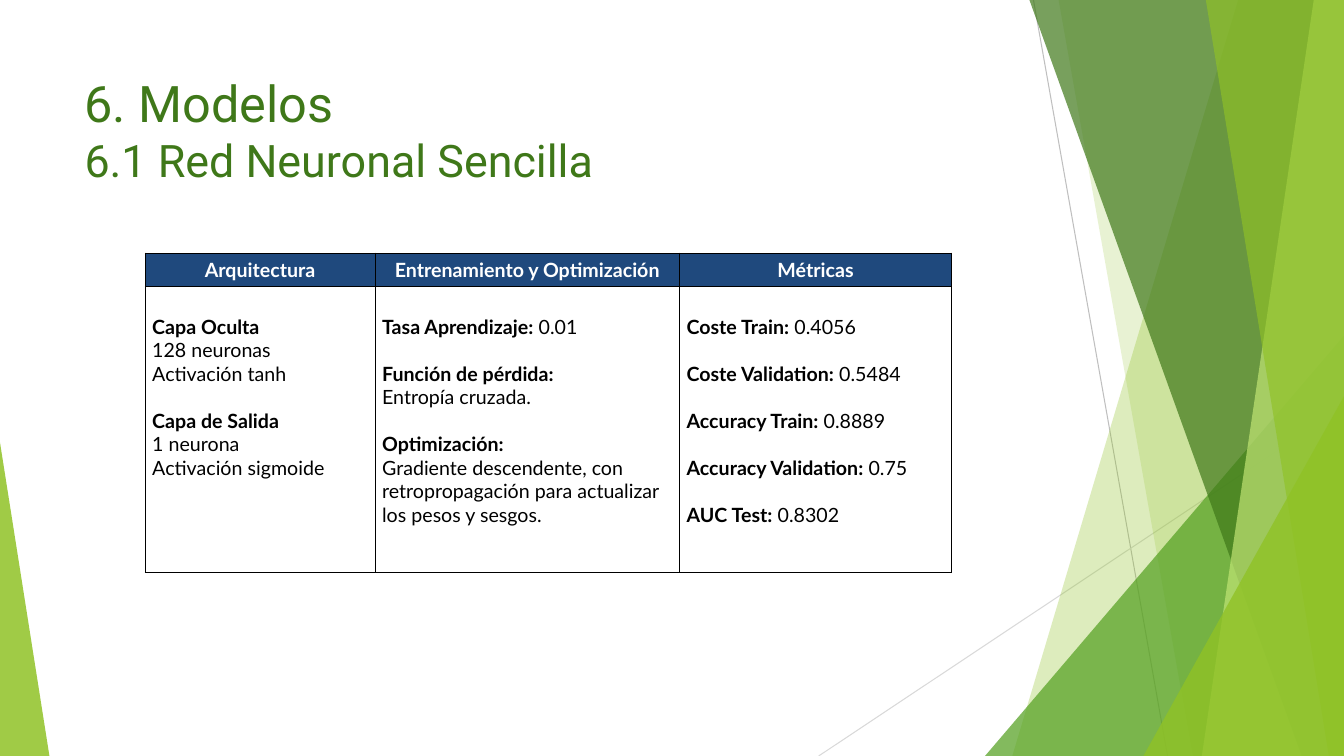
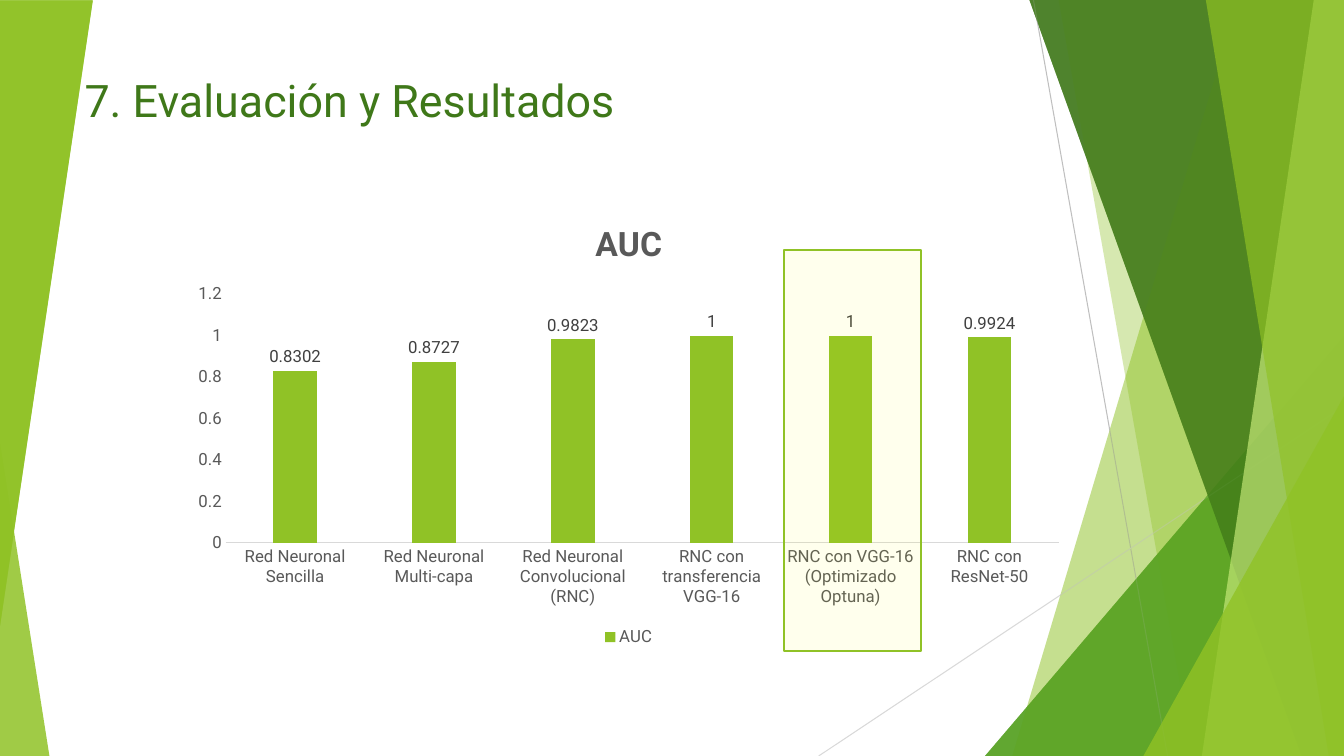
from dataclasses import dataclass

from lxml import etree
from pptx import Presentation
from pptx.chart.data import CategoryChartData
from pptx.dml.color import RGBColor
from pptx.enum.chart import XL_CHART_TYPE, XL_LABEL_POSITION, XL_LEGEND_POSITION, XL_TICK_MARK
from pptx.enum.shapes import MSO_CONNECTOR, MSO_SHAPE
from pptx.enum.text import MSO_ANCHOR, PP_ALIGN
from pptx.oxml import parse_xml
from pptx.oxml.ns import nsdecls, qn
from pptx.util import Inches, Pt


@dataclass(frozen=True)
class Theme:
    lime: str = "90C226"
    green: str = "54A021"
    dark_green: str = "3F7819"
    pale_lime: str = "C0E474"
    navy: str = "1F497D"
    yellow: str = "FFFF00"
    white: str = "FFFFFF"
    black: str = "000000"
    axis_text: str = "595959"
    label_text: str = "404040"
    mid_grey: str = "BFBFBF"
    light_grey: str = "D9D9D9"
    font: str = "Roboto"
    table_font: str = "Lato"
    chapter_size: int = 36
    title_size: int = 32
    chart_title_size: int = 24
    table_size: int = 14
    chart_size: int = 12
    line_gap: float = 16.8


T = Theme()
SLIDE_W, SLIDE_H = 13.33, 7.5

HEADINGS = ["Arquitectura", "Entrenamiento y Optimización", "Métricas"]
COLUMN_WIDTHS = [2.28, 3.02, 2.7]
# Each column holds groups of lines; each line is its bold part and its plain part.
COLUMNS = [
    [
        [("Capa Oculta", ""), ("", "128 neuronas"), ("", "Activación tanh")],
        [("Capa de Salida", ""), ("", "1 neurona"), ("", "Activación sigmoide")],
    ],
    [
        [("Tasa Aprendizaje:", " 0.01")],
        [("Función de pérdida:", ""), ("", "Entropía cruzada.")],
        [("Optimización:", ""),
         ("", "Gradiente descendente, con retropropagación para actualizar los pesos y sesgos.")],
    ],
    [
        [("Coste Train:", " 0.4056")],
        [("Coste Validation:", " 0.5484")],
        [("Accuracy Train:", " 0.8889")],
        [("Accuracy Validation:", " 0.75")],
        [("AUC Test:", " 0.8302")],
    ],
]
AUC = {
    "Red Neuronal Sencilla": 0.8302,
    "Red Neuronal Multi-capa": 0.8727,
    "Red Neuronal Convolucional (RNC)": 0.9823,
    "RNC con transferencia VGG-16": 1,
    "RNC con VGG-16 (Optimizado Optuna)": 1,
    "RNC con ResNet-50": 0.9924,
}


def rgb(color):
    return RGBColor.from_string(color)


def set_font(font, size, color, name=T.font, bold=False):
    font.name, font.size, font.bold = name, Pt(size), bold
    font.color.rgb = rgb(color)


def paint(sp, color, opacity):
    """Fill a shape at an opacity in percent, with no line or shadow."""
    sp.shadow.inherit = False
    sp.fill.solid()
    sp.fill.fore_color.rgb = rgb(color)
    clr = sp.fill._xPr.find(qn("a:solidFill"))[0]
    etree.SubElement(clr, qn("a:alpha")).set("val", str(opacity * 1000))
    sp.line.fill.background()


def add_line(slide, x1, y1, x2, y2, color):
    ln = slide.shapes.add_connector(
        MSO_CONNECTOR.STRAIGHT, Inches(x1), Inches(y1), Inches(x2), Inches(y2))
    ln.line.color.rgb = rgb(color)
    ln.line.width = Pt(0.75)
    etree.SubElement(ln._element.spPr, qn("a:effectLst"))


def add_pane(slide, top_x, bottom_x, color, opacity):
    """Full-height facet from a slanted left side to the right slide edge."""
    fb = slide.shapes.build_freeform(Inches(top_x), 0)
    fb.add_line_segments([(Inches(x), Inches(y)) for x, y in
                          [(SLIDE_W, 0), (SLIDE_W, SLIDE_H), (bottom_x, SLIDE_H)]])
    paint(fb.convert_to_shape(), color, opacity)


def add_triangle(slide, x, y, w, h, color, opacity, apex=1, rotation=0):
    sp = slide.shapes.add_shape(
        MSO_SHAPE.ISOSCELES_TRIANGLE, Inches(x), Inches(y), Inches(w), Inches(h))
    sp.adjustments[0] = apex
    sp.rotation = rotation
    paint(sp, color, opacity)


def add_corner(slide, x, y, color, opacity):
    """Triangle that fills the bottom right corner of the slide."""
    add_triangle(slide, x, y, SLIDE_W - x, SLIDE_H - y, color, opacity)


def add_rays(slide):
    add_line(slide, 10.25, 0, 11.58, SLIDE_H, T.mid_grey)
    add_line(slide, SLIDE_W, 4.03, 8.12, SLIDE_H, T.light_grey)


def add_facets(slide):
    add_pane(slide, 12.28, 10.04, T.lime, 30)
    add_pane(slide, 10.5, 11.83, T.lime, 20)
    add_corner(slide, 9.77, 3.33, T.green, 72)
    add_pane(slide, 10.21, 12.91, T.dark_green, 70)
    add_pane(slide, 13.03, 11.92, T.pale_lime, 70)
    add_pane(slide, 11.96, 13.18, T.lime, 65)
    add_corner(slide, 11.34, 3.93, T.lime, 80)


def add_left_wedge(slide):
    add_triangle(slide, 0, 4.39, 0.49, 3.11, T.lime, 85, apex=0)


def add_title(slide, w, h, *lines):
    """Add a title from (text, size) lines."""
    tf = slide.shapes.add_textbox(Inches(0.74), Inches(0.67), Inches(w), Inches(h)).text_frame
    tf.word_wrap = True
    for i, (text, size) in enumerate(lines):
        p = tf.paragraphs[0] if i == 0 else tf.add_paragraph()
        p.text = text
        set_font(p.font, size, T.dark_green)


def style_cell(cell, top=0.05):
    cell.margin_left = cell.margin_right = Inches(0.07)
    cell.margin_top, cell.margin_bottom = Inches(top), Inches(0.05)
    cell.vertical_anchor = MSO_ANCHOR.TOP
    tcPr = cell._tc.get_or_add_tcPr()
    for i, side in enumerate("LRTB"):
        tcPr.insert(i, parse_xml(
            f'<a:ln{side} {nsdecls("a")} w="{Pt(0.75)}"><a:solidFill>'
            f'<a:srgbClr val="{T.black}"/></a:solidFill></a:ln{side}>'))


def fill_heading(cell, text):
    style_cell(cell)
    cell.fill.solid()
    cell.fill.fore_color.rgb = rgb(T.navy)
    p = cell.text_frame.paragraphs[0]
    p.text = text
    p.alignment = PP_ALIGN.CENTER
    set_font(p.font, T.table_size, T.white, T.table_font, bold=True)


def fill_body(cell, groups):
    style_cell(cell, top=0.28)
    cell.fill.background()
    tf = cell.text_frame
    for g, lines in enumerate(groups):
        for i, parts in enumerate(lines):
            first = g == i == 0
            p = tf.paragraphs[0] if first else tf.add_paragraph()
            if i == 0 and not first:
                p.space_before = Pt(T.line_gap)
            for text, bold in zip(parts, (True, False)):
                if text:
                    r = p.add_run()
                    r.text = text
                    set_font(r.font, T.table_size, T.black, T.table_font, bold)


def add_model_table(slide):
    row_heights = [0.33, 2.84]
    tbl = slide.shapes.add_table(
        2, len(HEADINGS), Inches(1.44), Inches(2.51),
        Inches(sum(COLUMN_WIDTHS)), Inches(sum(row_heights))).table
    tbl.horz_banding = False
    for row, h in zip(tbl.rows, row_heights):
        row.height = Inches(h)
    for c, (w, heading, groups) in enumerate(zip(COLUMN_WIDTHS, HEADINGS, COLUMNS)):
        tbl.columns[c].width = Inches(w)
        fill_heading(tbl.cell(0, c), heading)
        fill_body(tbl.cell(1, c), groups)


def add_auc_chart(slide):
    data = CategoryChartData()
    data.categories = list(AUC)
    data.add_series("AUC", list(AUC.values()))
    chart = slide.shapes.add_chart(
        XL_CHART_TYPE.COLUMN_CLUSTERED,
        Inches(1.79), Inches(1.99), Inches(8.89), Inches(4.47), data).chart
    set_font(chart.font, T.chart_size, T.axis_text)

    chart.has_title = True
    p = chart.chart_title.text_frame.paragraphs[0]
    p.text = "AUC"
    set_font(p.font, T.chart_title_size, T.axis_text, bold=True)
    chart.chart_title.include_in_layout = False

    chart.has_legend = True
    chart.legend.position = XL_LEGEND_POSITION.BOTTOM
    chart.legend.include_in_layout = False
    set_font(chart.legend.font, T.chart_size, T.axis_text)

    for axis in (chart.category_axis, chart.value_axis):
        axis.major_tick_mark = axis.minor_tick_mark = XL_TICK_MARK.NONE
        axis.has_major_gridlines = False
        set_font(axis.tick_labels.font, T.chart_size, T.axis_text)
    chart.category_axis.format.line.color.rgb = rgb(T.light_grey)
    chart.category_axis.format.line.width = Pt(0.75)
    value_axis = chart.value_axis
    value_axis.format.line.fill.background()
    value_axis.minimum_scale, value_axis.maximum_scale, value_axis.major_unit = 0, 1.2, 0.2

    plot = chart.plots[0]
    plot.vary_by_categories = False
    plot.gap_width, plot.overlap = 219, -27
    fill = plot.series[0].format.fill
    fill.solid()
    fill.fore_color.rgb = rgb(T.lime)
    plot.has_data_labels = True
    labels = plot.data_labels
    labels.show_value = True
    labels.position = XL_LABEL_POSITION.OUTSIDE_END
    set_font(labels.font, T.chart_size, T.label_text)


def add_highlight(slide):
    sp = slide.shapes.add_shape(
        MSO_SHAPE.RECTANGLE, Inches(7.78), Inches(2.48), Inches(1.36), Inches(3.98))
    paint(sp, T.yellow, 7)
    sp.line.color.rgb = rgb(T.lime)
    sp.line.width = Pt(1.5)


def build_model_slide(slide):
    add_rays(slide)
    add_facets(slide)
    add_left_wedge(slide)
    add_title(slide, 9.4, 1.44, ("6. Modelos", T.chapter_size),
              ("6.1 Red Neuronal Sencilla", T.title_size))
    add_model_table(slide)


def build_results_slide(slide):
    """Layer the facets twice, which deepens their colours."""
    add_facets(slide)
    add_left_wedge(slide)
    add_rays(slide)
    add_facets(slide)
    for y in (0, 0.01):
        add_triangle(slide, 0, y, 0.92, 6.2, T.lime, 85, rotation=180)
    add_title(slide, 6.65, 0.65, ("7. Evaluación y Resultados", T.title_size))
    add_auc_chart(slide)
    add_highlight(slide)


def main():
    prs = Presentation()
    prs.slide_width, prs.slide_height = Inches(SLIDE_W), Inches(SLIDE_H)
    for build in (build_model_slide, build_results_slide):
        build(prs.slides.add_slide(prs.slide_layouts[6]))
    prs.save("out.pptx")


if __name__ == "__main__":
    main()
